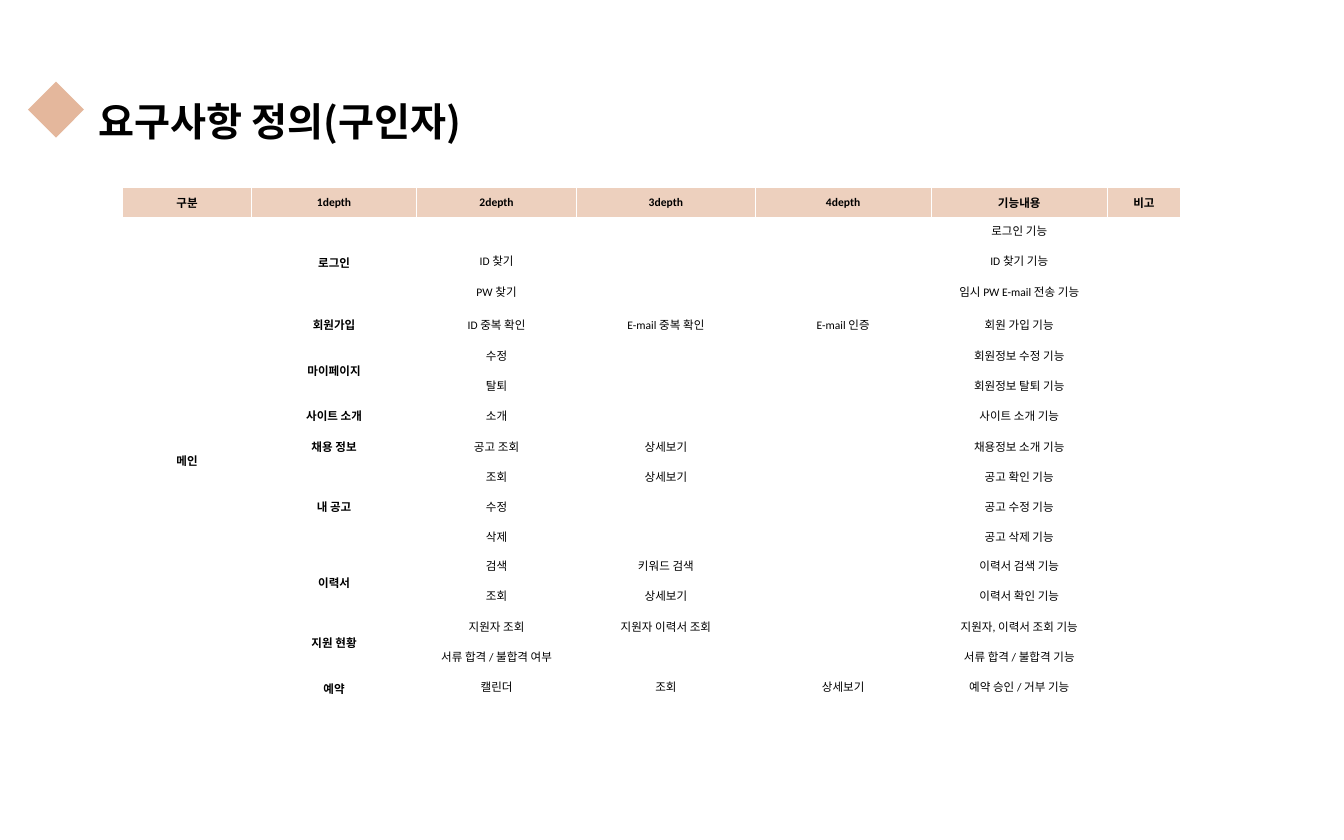
from dataclasses import dataclass

from lxml import etree
from pptx import Presentation, util as u
from pptx.dml.color import RGBColor
from pptx.enum import shapes, text
from pptx.oxml import ns


@dataclass(frozen=True)
class Theme:
    ink: str = "000000"
    accent: str = "E4B79C"
    header: str = "EDD0BE"
    border: str = "FFFFFF"
    title_font: str = "Noto Sans CJK KR"
    body_font: str = "Calibri"
    title_size: float = 37.3
    body_size: float = 11


THEME = Theme()
SLIDE_SIZE = (17.78, 11.11)
COLUMN_WIDTHS = (1.71, 2.18, 2.12, 2.36, 2.33, 2.33, 0.97)
HEADER_HEIGHT, ROW_HEIGHT, SIGNUP_HEIGHT = 0.39, 0.4, 0.43
HEADERS = ("구분", "1depth", "2depth", "3depth", "4depth", "기능내용", "비고")
SECTION = "메인"
# Each group: 1depth name, body anchor, rows of (2depth, 3depth, 4depth, 기능내용)
TOP, MIDDLE = text.MSO_ANCHOR.TOP, text.MSO_ANCHOR.MIDDLE
GROUPS = (
    ("로그인", TOP, (
        ("", "", "", "로그인 기능"),
        ("ID 찾기", "", "", "ID 찾기 기능"),
        ("PW 찾기", "", "", "임시 PW E-mail 전송 기능"))),
    ("회원가입", MIDDLE, (
        ("ID 중복 확인", "E-mail 중복 확인", "E-mail 인증", "회원 가입 기능"),)),
    ("마이페이지", MIDDLE, (
        ("수정", "", "", "회원정보 수정 기능"),
        ("탈퇴", "", "", "회원정보 탈퇴 기능"))),
    ("사이트 소개", MIDDLE, (("소개", "", "", "사이트 소개 기능"),)),
    ("채용 정보", MIDDLE, (("공고 조회", "상세보기", "", "채용정보 소개 기능"),)),
    ("내 공고", MIDDLE, (
        ("조회", "상세보기", "", "공고 확인 기능"),
        ("수정", "", "", "공고 수정 기능"),
        ("삭제", "", "", "공고 삭제 기능"))),
    ("이력서", TOP, (
        ("검색", "키워드 검색", "", "이력서 검색 기능"),
        ("조회", "상세보기", "", "이력서 확인 기능"))),
    ("지원 현황", TOP, (
        ("지원자 조회", "지원자 이력서 조회", "", "지원자, 이력서 조회 기능"),
        ("서류 합격 / 불합격 여부", "", "", "서류 합격 / 불합격 기능"))),
    ("예약", TOP, (("캘린더", "조회", "상세보기", "예약 승인 / 거부 기능"),)),
)


def color(value):
    return RGBColor.from_string(value)


def write(frame, words, *, size=THEME.body_size, font=THEME.body_font, bold=False,
          align=text.PP_ALIGN.CENTER, spacing=None):
    para = frame.paragraphs[0]
    para.alignment = align
    para.line_spacing = spacing
    span = para.add_run()
    span.text = words
    span.font.size = u.Pt(size)
    span.font.name = font
    span.font.bold = bold
    span.font.color.rgb = color(THEME.ink)
    east_asian = etree.SubElement(span.font._element, ns.qn("a:ea"))
    east_asian.set("typeface", THEME.title_font)


def add_heading(page, left, top, width, height):
    """Place the title and the diamond that hangs to its left."""
    box = page.shapes.title
    box.left, box.top, box.width, box.height = map(u.Inches, (left, top, width, height))
    frame = box.text_frame
    frame.word_wrap = True
    frame.vertical_anchor = TOP
    frame.auto_size = text.MSO_AUTO_SIZE.SHAPE_TO_FIT_TEXT
    write(frame, "요구사항 정의(구인자)", size=THEME.title_size, font=THEME.title_font,
          bold=True, align=text.PP_ALIGN.LEFT, spacing=1.5)

    side = 0.74
    diamond = page.shapes.add_shape(
        shapes.MSO_SHAPE.DIAMOND, u.Inches(left - 0.83), u.Inches(top + 0.15),
        u.Inches(side), u.Inches(side))
    diamond.rotation = 90
    diamond.shadow.inherit = False
    diamond.fill.solid()
    diamond.fill.fore_color.rgb = color(THEME.accent)
    diamond.line.fill.background()


def style_cell(cell, fill=None):
    """Draw the borders and fill; an empty cell takes no vertical margin."""
    properties = cell._tc.get_or_add_tcPr()
    for edge in ("lnL", "lnR", "lnT", "lnB"):
        line = etree.SubElement(properties, ns.qn(f"a:{edge}"), w=str(u.Pt(1)))
        paint = etree.SubElement(line, ns.qn("a:solidFill"))
        etree.SubElement(paint, ns.qn("a:srgbClr"), val=THEME.border)
    if fill:
        cell.fill.solid()
        cell.fill.fore_color.rgb = color(fill)
    else:
        cell.fill.background()
    cell.margin_left = cell.margin_right = u.Inches(0.13)
    cell.margin_top = cell.margin_bottom = 0


def fill_cell(cell, words, *, bold=False, anchor=MIDDLE):
    if words:
        cell.margin_top = cell.margin_bottom = u.Inches(0.07)
        cell.vertical_anchor = anchor
        write(cell.text_frame, words, bold=bold)


def add_requirements(page, left, top):
    heights = [HEADER_HEIGHT] + [
        SIGNUP_HEIGHT if name == "회원가입" else ROW_HEIGHT
        for name, _, rows in GROUPS for _ in rows]
    table = page.shapes.add_table(
        len(heights), len(COLUMN_WIDTHS), u.Inches(left), u.Inches(top),
        u.Inches(sum(COLUMN_WIDTHS)), u.Inches(sum(heights))).table
    table.first_row = table.horz_banding = False
    for column, width in zip(table.columns, COLUMN_WIDTHS):
        column.width = u.Inches(width)
    for index, height in enumerate(heights):
        table.rows[index].height = u.Inches(height)
        for cell in table.rows[index].cells:
            style_cell(cell, THEME.header if index == 0 else None)

    for column, words in enumerate(HEADERS):
        fill_cell(table.cell(0, column), words, bold=True)
    last_row, last_column = len(heights) - 1, len(HEADERS) - 1
    for column in (0, last_column):
        table.cell(1, column).merge(table.cell(last_row, column))
    fill_cell(table.cell(1, 0), SECTION, bold=True)

    first = 1
    for name, anchor, rows in GROUPS:
        if len(rows) > 1:
            table.cell(first, 1).merge(table.cell(first + len(rows) - 1, 1))
        fill_cell(table.cell(first, 1), name, bold=True)
        for row, entries in enumerate(rows, first):
            for column, words in enumerate(entries, 2):
                fill_cell(table.cell(row, column), words, anchor=anchor)
        first += len(rows)


def main():
    deck = Presentation()
    deck.slide_width, deck.slide_height = map(u.Inches, SLIDE_SIZE)
    page = deck.slides.add_slide(deck.slide_layouts[5])
    add_heading(page, 1.2, 0.93, 6.35, 0.92)
    add_requirements(page, 1.62, 2.48)
    deck.save("out.pptx")


if __name__ == "__main__":
    main()
